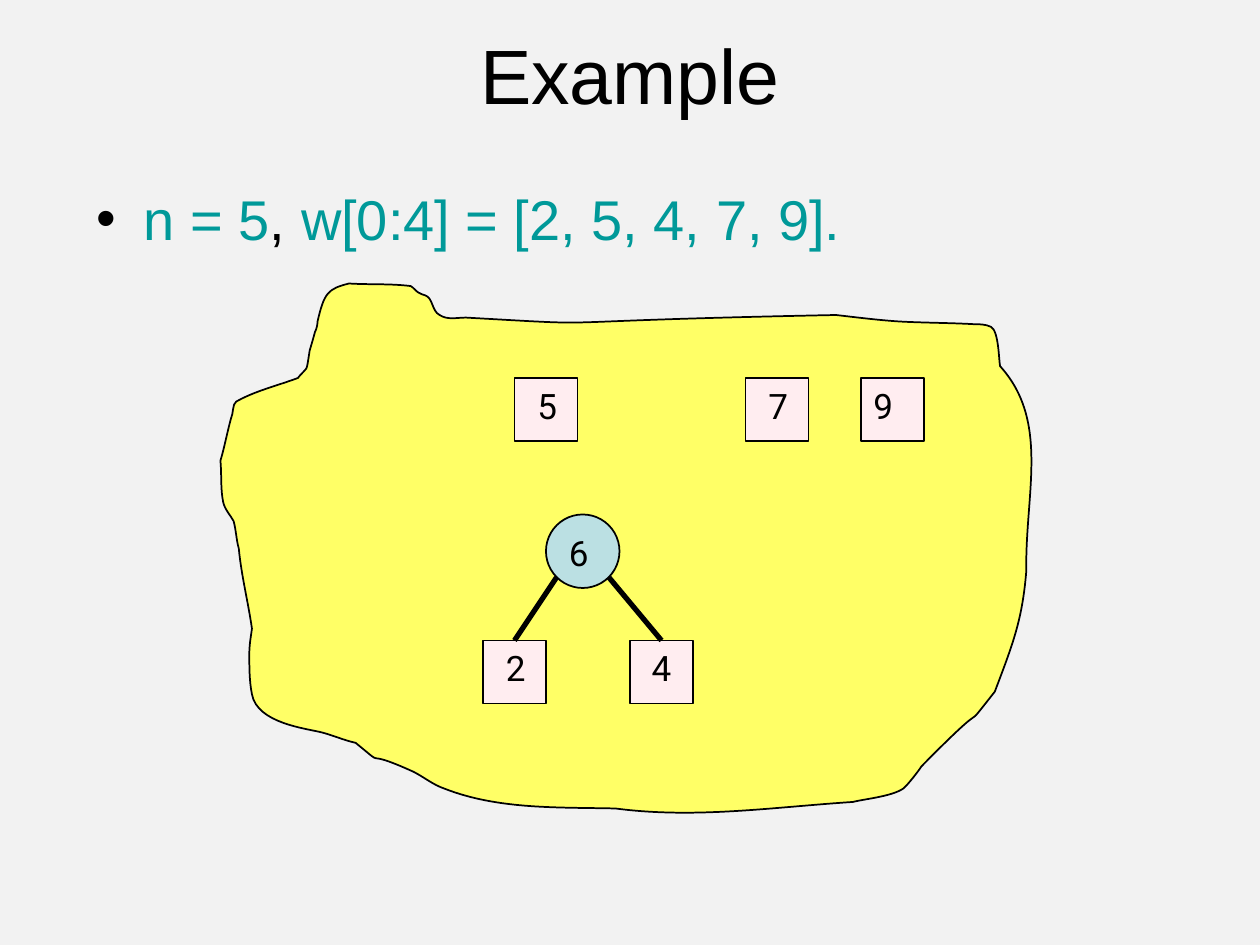
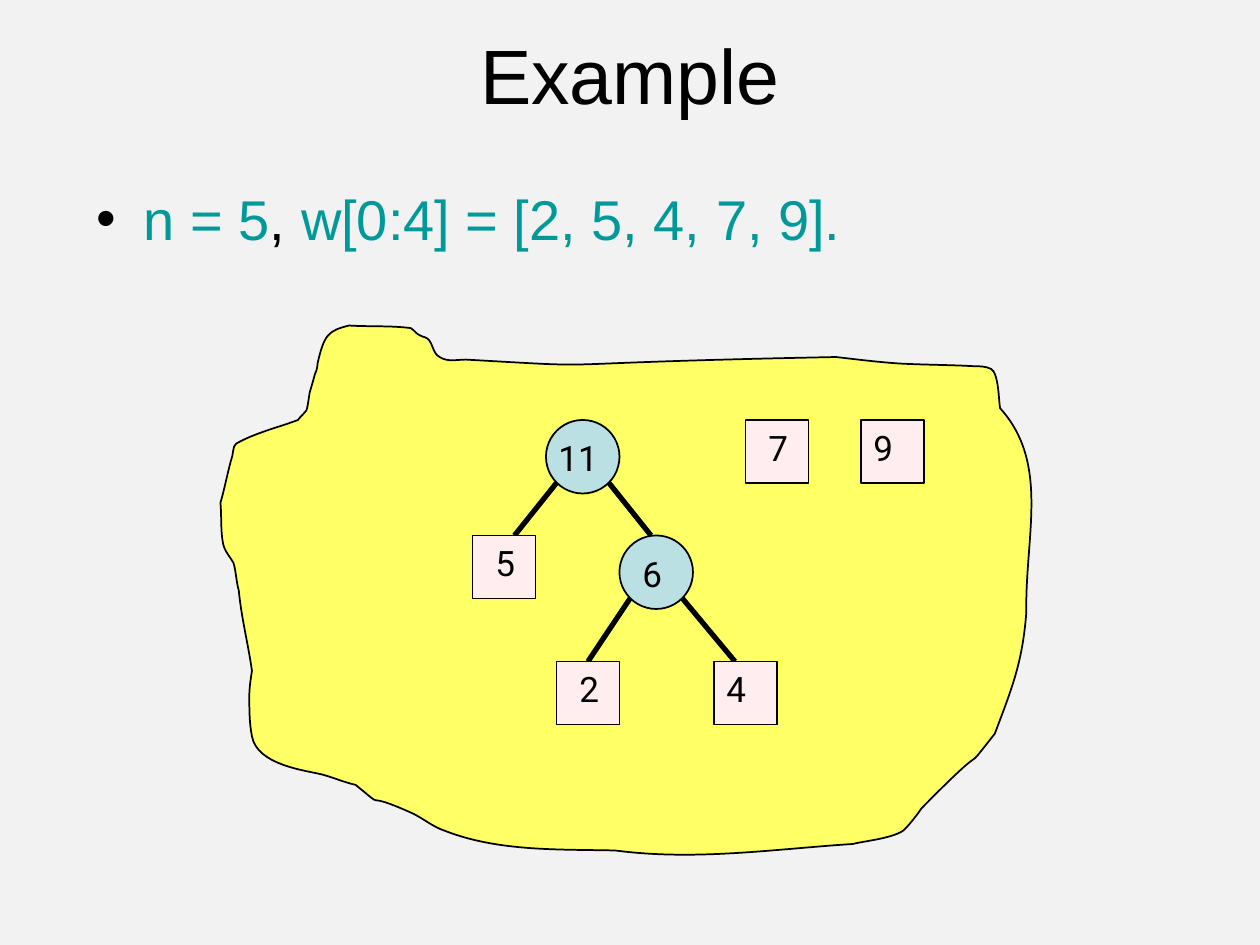
"""Build two slides that show merge steps of a weighted tree example."""
from lxml import etree
from pptx import Presentation
from pptx.dml.color import RGBColor
from pptx.enum.shapes import MSO_CONNECTOR, MSO_SHAPE
from pptx.enum.text import MSO_ANCHOR, PP_ALIGN
from pptx.oxml.ns import qn
from pptx.util import Emu, Pt

EMU_PER_PX = 9525
SLIDE_WIDTH, SLIDE_HEIGHT = 960, 720
RECTANGLE, ELLIPSE = MSO_SHAPE.RECTANGLE, MSO_SHAPE.OVAL
STRAIGHT = MSO_CONNECTOR.STRAIGHT
TOP, MIDDLE = MSO_ANCHOR.TOP, MSO_ANCHOR.MIDDLE
LEFT, CENTER = PP_ALIGN.LEFT, PP_ALIGN.CENTER

BACKGROUND, BLACK, TEAL = "F2F2F2", "000000", "009999"
YELLOW, PINK, PALE_BLUE = "FFFF66", "FFEDF0", "BBE0E3"
HEADING_FONT, LABEL_FONT = "Arial", "Roboto"

LEAF_SIZE, NODE_SIZE = 48, 56
BULLET_INDENT = 36

BLOB_START = (227, 288)
BLOB_CURVES = [
    ((211, 294), (194, 298), (180, 306)),
    ((177, 308), (178, 315), (176, 319)),
    ((173, 330), (171, 341), (168, 351)),
    ((169, 362), (168, 372), (170, 382)),
    ((171, 388), (176, 393), (178, 397)),
    ((180, 404), (180, 411), (182, 418)),
    ((184, 439), (189, 458), (192, 479)),
    ((191, 486), (190, 492), (190, 498)),
    ((190, 509), (190, 519), (192, 529)),
    ((196, 551), (233, 555), (245, 558)),
    ((253, 560), (262, 564), (271, 566)),
    ((298, 588), (271, 568), (315, 588)),
    ((323, 592), (330, 598), (339, 601)),
    ((380, 617), (426, 615), (469, 616)),
    ((530, 624), (589, 615), (650, 611)),
    ((657, 609), (679, 607), (688, 601)),
    ((691, 599), (701, 586), (702, 584)),
    ((762, 523), (728, 565), (758, 527)),
    ((772, 490), (779, 472), (782, 435)),
    ((781, 376), (800, 321), (762, 279)),
    ((761, 274), (761, 252), (755, 249)),
    ((751, 247), (746, 247), (742, 247)),
    ((724, 246), (705, 246), (686, 245)),
    ((670, 244), (654, 242), (637, 240)),
    ((386, 245), (480, 249), (355, 242)),
    ((348, 242), (341, 244), (335, 240)),
    ((329, 237), (330, 227), (324, 225)),
    ((323, 225), (321, 224), (319, 223)),
    ((317, 222), (315, 219), (313, 218)),
    ((298, 216), (282, 217), (266, 216)),
    ((250, 220), (247, 223), (242, 245)),
    ((242, 248), (241, 251), (240, 253)),
    ((239, 257), (236, 267), (236, 267)),
    ((233, 286), (235, 278), (227, 288)),
]


def px(length):
    """Convert pixels to EMU."""
    return Emu(round(length * EMU_PER_PX))


def color(hex_string):
    """Convert a hex string to a colour."""
    return RGBColor.from_string(hex_string)


def style_shape(shape, fill):
    """Give a shape a flat fill and a thin black outline."""
    shape.shadow.inherit = False
    shape.fill.solid()
    shape.fill.fore_color.rgb = color(fill)
    shape.line.color.rgb = color(BLACK)
    shape.line.width = Pt(1)


def style_font(font, name, size, hex_string):
    """Set the typeface, size and colour of a font."""
    font.name = name
    font.size = Pt(size)
    font.color.rgb = color(hex_string)


def add_text_box(slide, left, top, width, height, anchor=TOP, alignment=LEFT):
    """Add an empty wrapping text box and return its first paragraph."""
    box = slide.shapes.add_textbox(px(left), px(top), px(width), px(height))
    box.text_frame.word_wrap = True
    box.text_frame.vertical_anchor = anchor
    paragraph = box.text_frame.paragraphs[0]
    paragraph.alignment = alignment
    return paragraph


def add_title(slide, text):
    """Add the centred slide title."""
    paragraph = add_text_box(slide, 72, 0, 816, 112, MIDDLE, CENTER)
    paragraph.text = text
    style_font(paragraph.runs[0].font, HEADING_FONT, 44, BLACK)


def add_bullet_line(slide, pieces):
    """Add one bulleted line made of (text, colour) pieces."""
    paragraph = add_text_box(slide, 64, 136, 816, 64)
    properties = paragraph._p.get_or_add_pPr()
    properties.set("marL", str(px(BULLET_INDENT)))
    properties.set("indent", str(px(-BULLET_INDENT)))
    bullet_color = etree.SubElement(properties, qn("a:buClr"))
    etree.SubElement(bullet_color, qn("a:srgbClr"), val=BLACK)
    etree.SubElement(properties, qn("a:buFont"), typeface=HEADING_FONT)
    etree.SubElement(properties, qn("a:buChar"), char="•")
    for text, hex_string in pieces:
        run = paragraph.add_run()
        run.text = text
        style_font(run.font, HEADING_FONT, 32, hex_string)


def curve_segments(shape):
    """Turn each three line segments of a freeform into one cubic curve."""
    segments = list(shape._element.iter(qn("a:lnTo")))
    for index in range(0, len(segments), 3):
        curve = etree.Element(qn("a:cubicBezTo"))
        segments[index].addprevious(curve)
        for segment in segments[index:index + 3]:
            curve.append(segment[0])
            segment.getparent().remove(segment)


def add_blob(slide, shift=0):
    """Add the yellow outline, moved down by shift."""
    points = [BLOB_START] + [point for curve in BLOB_CURVES for point in curve]
    outline = [(px(x), px(y + shift)) for x, y in points]
    builder = slide.shapes.build_freeform(*outline[0], scale=1.0)
    builder.add_line_segments(outline[1:], close=True)
    blob = builder.convert_to_shape()
    curve_segments(blob)
    style_shape(blob, YELLOW)


def add_label(slide, text, left, top, width):
    """Add the number of a leaf or node."""
    paragraph = add_text_box(slide, left, top, width, 41)
    paragraph.text = text
    style_font(paragraph.runs[0].font, LABEL_FONT, 20, BLACK)


def add_leaf(slide, text, left, top, label_offset=8):
    """Add a square leaf with its weight."""
    shape = slide.shapes.add_shape(
        RECTANGLE, px(left), px(top), px(LEAF_SIZE), px(LEAF_SIZE))
    style_shape(shape, PINK)
    add_label(slide, text, left + label_offset, top, 50)


def add_node(slide, text, left, top, branch_ends, child_top, label_offset=8):
    """Add a round node with its weight and a branch to each child."""
    shape = slide.shapes.add_shape(
        ELLIPSE, px(left), px(top), px(NODE_SIZE), px(NODE_SIZE))
    style_shape(shape, PALE_BLUE)
    add_label(slide, text, left + label_offset, top + 8, NODE_SIZE - 2 * label_offset)
    branch_starts = (left + 8, left + NODE_SIZE - 8)
    for start, end in zip(branch_starts, branch_ends):
        add_branch(slide, start, top + NODE_SIZE - 8, end, child_top)


def add_branch(slide, start_x, start_y, end_x, end_y):
    """Add a thick black line between a node and its child."""
    branch = slide.shapes.add_connector(
        STRAIGHT, px(start_x), px(start_y), px(end_x), px(end_y))
    branch.line.color.rgb = color(BLACK)
    branch.line.width = Pt(3)
    etree.SubElement(branch._element.spPr, qn("a:effectLst"))


def add_example_slide(presentation, shift=0):
    """Add a slide with the parts that every step shares."""
    slide = presentation.slides.add_slide(presentation.slide_layouts[6])
    slide.background.fill.solid()
    slide.background.fill.fore_color.rgb = color(BACKGROUND)
    add_blob(slide, shift)
    add_title(slide, "Example")
    add_bullet_line(slide, [
        ("n = 5", TEAL), (", ", BLACK), ("w[0:4] = [2, 5, 4, 7, 9].", TEAL)])
    add_leaf(slide, "7", 568, 288 + shift)
    add_leaf(slide, "9", 656, 288 + shift, label_offset=0)
    return slide


def add_first_merge(presentation):
    """Show 2 and 4 merged into 6."""
    slide = add_example_slide(presentation)
    add_leaf(slide, "5", 392, 288)
    add_leaf(slide, "2", 368, 488)
    add_leaf(slide, "4", 480, 488, label_offset=7)
    add_node(slide, "6", 416, 392, (392, 504), 488)


def add_second_merge(presentation):
    """Show 5 and 6 merged into 11."""
    slide = add_example_slide(presentation, shift=32)
    add_node(slide, "6", 472, 408, (448, 560), 504)
    add_node(slide, "11", 416, 320, (392, 496), 408, label_offset=0)
    add_leaf(slide, "5", 360, 408)
    add_leaf(slide, "2", 424, 504)
    add_leaf(slide, "4", 544, 504, label_offset=0)


def main():
    """Build and save the presentation."""
    presentation = Presentation()
    presentation.slide_width = px(SLIDE_WIDTH)
    presentation.slide_height = px(SLIDE_HEIGHT)
    add_first_merge(presentation)
    add_second_merge(presentation)
    presentation.save("out.pptx")


if __name__ == "__main__":
    main()
